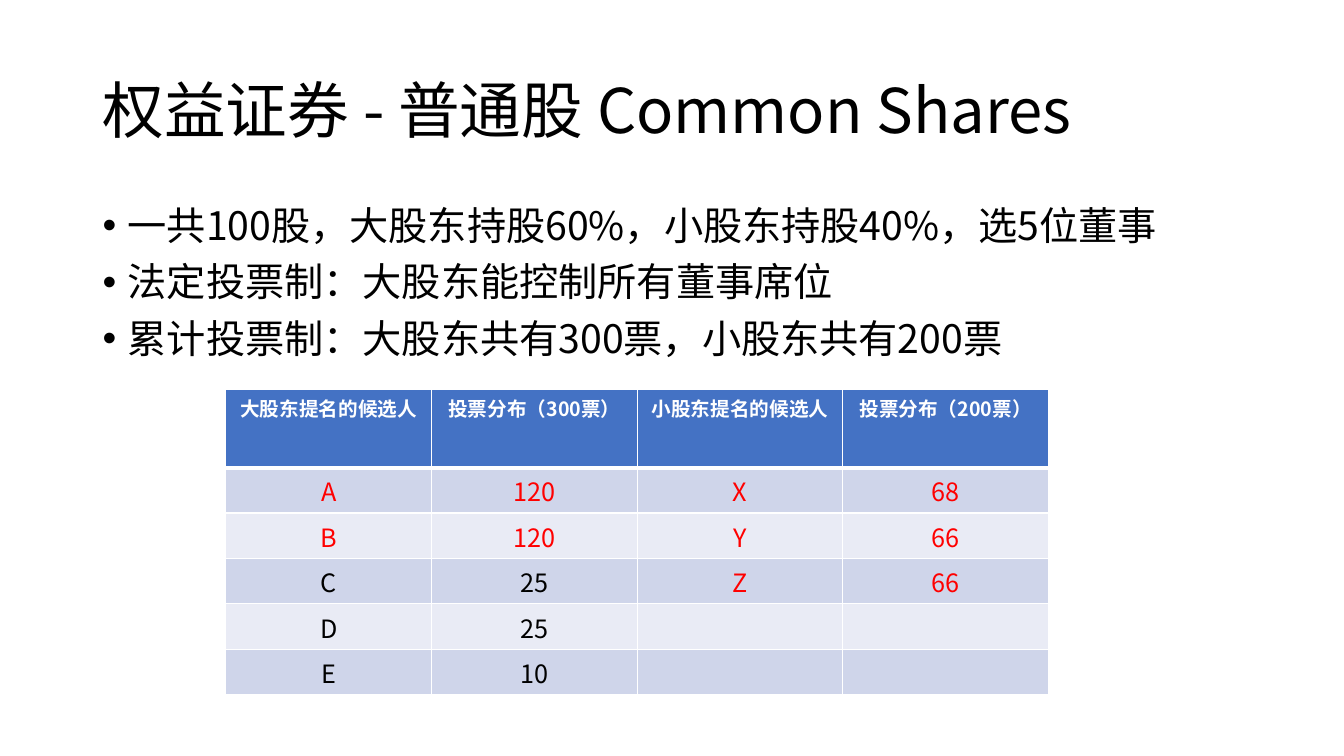
import pptx
import pptx.util
import pptx.dml.color
import pptx.enum.text
import pptx.oxml
import pptx.oxml.ns

TITLE = "权益证券 - 普通股 Common Shares"
POINTS = [
    "一共100股，大股东持股60%，小股东持股40%，选5位董事",
    "法定投票制：大股东能控制所有董事席位",
    "累计投票制：大股东共有300票，小股东共有200票",
]
HEADINGS = ["大股东提名的候选人", "投票分布（300票）", "小股东提名的候选人", "投票分布（200票）"]
VOTES = [
    ("A", "120", "X", "68"),
    ("B", "120", "Y", "66"),
    ("C", "25", "Z", "66"),
    ("D", "25", "", ""),
    ("E", "10", "", ""),
]
ELECTED = {"A", "B", "X", "Y", "Z"}

FONT = "Noto Sans CJK SC"
COLORS = {
    "text": "000000",
    "elected": "FF0000",
    "heading": "FFFFFF",
    "heading_fill": "4472C4",
    "odd_fill": "CFD5EA",
    "even_fill": "E9EBF5",
    "border": "FFFFFF",
}

# Lengths in px, 100 to the inch
PX = 9144
SLIDE = (1333, 750)
TITLE_BOX = (92, 40, 1150, 145)
POINTS_BOX = (92, 200, 1150, 476)
TABLE_LEFT, TABLE_TOP = 224, 386
COLUMN_WIDTH, HEADING_HEIGHT, VOTE_HEIGHT = 204, 78, 45
BULLET_INDENT = 25


def px(*lengths):
    return [pptx.util.Emu(length * PX) for length in lengths]


def rgb(color):
    return pptx.dml.color.RGBColor.from_string(COLORS[color])


def format_runs(paragraph, size, color, bold=False):
    for run in paragraph.runs:
        run.font.size = pptx.util.Pt(size)
        run.font.bold = bold
        run.font.color.rgb = rgb(color)
        run.font.name = FONT
        east_asian = pptx.oxml.parse_xml(
            f'<a:ea {pptx.oxml.ns.nsdecls("a")} typeface="{FONT}"/>')
        run.font._element.append(east_asian)


def add_text(slide, box, lines, size, anchor):
    frame = slide.shapes.add_textbox(*px(*box)).text_frame
    frame.word_wrap = True
    frame.vertical_anchor = anchor
    frame.text = "\n".join(lines)
    for paragraph in frame.paragraphs:
        paragraph.line_spacing = 0.9
        format_runs(paragraph, size, "text")
    return frame


def add_bullet(paragraph):
    paragraph.space_before = pptx.util.Pt(10)
    properties = paragraph._p.get_or_add_pPr()
    properties.set("marL", str(BULLET_INDENT * PX))
    properties.set("indent", str(-BULLET_INDENT * PX))
    for bullet in ('buFont {} typeface="Arial"', 'buChar {} char="•"'):
        tag = bullet.format(pptx.oxml.ns.nsdecls("a"))
        properties.append(pptx.oxml.parse_xml(f"<a:{tag}/>"))


def add_borders(cell, widths):
    """Draw borders given as a dict of side (L, R, T, B) to points."""
    for side, width in widths.items():
        cell._tc.get_or_add_tcPr().append(pptx.oxml.parse_xml(
            f'<a:ln{side} {pptx.oxml.ns.nsdecls("a")} w="{pptx.util.Pt(width)}">'
            f'<a:solidFill><a:srgbClr val="{COLORS["border"]}"/></a:solidFill>'
            f'</a:ln{side}>'))


def fill_cell(cell, text, size, color, fill, borders, bold=False):
    add_borders(cell, borders)
    cell.fill.solid()
    cell.fill.fore_color.rgb = rgb(fill)
    cell.text = text
    paragraph = cell.text_frame.paragraphs[0]
    paragraph.alignment = pptx.enum.text.PP_ALIGN.CENTER
    format_runs(paragraph, size, color, bold)


def add_vote_table(slide):
    columns, rows = len(HEADINGS), len(VOTES) + 1
    table = slide.shapes.add_table(rows, columns, *px(
        TABLE_LEFT, TABLE_TOP, columns * COLUMN_WIDTH,
        HEADING_HEIGHT + len(VOTES) * VOTE_HEIGHT)).table
    for column in table.columns:
        column.width, = px(COLUMN_WIDTH)
    for index, row in enumerate(table.rows):
        row.height, = px(VOTE_HEIGHT if index else HEADING_HEIGHT)

    for column, heading in enumerate(HEADINGS):
        fill_cell(table.cell(0, column), heading, 14, "heading", "heading_fill",
                  {"L": 1, "R": 1, "T": 1, "B": 3}, bold=True)
    for row, votes in enumerate(VOTES, start=1):
        fill = "odd_fill" if row % 2 else "even_fill"
        borders = {"L": 1, "R": 1, "T": 3 if row == 1 else 1, "B": 1}
        for column, text in enumerate(votes):
            candidate = votes[column - column % 2]
            color = "elected" if candidate in ELECTED else "text"
            fill_cell(table.cell(row, column), text, 18, color, fill, borders)


def main():
    presentation = pptx.Presentation()
    presentation.slide_width, presentation.slide_height = px(*SLIDE)
    slide = presentation.slides.add_slide(presentation.slide_layouts[6])

    anchors = pptx.enum.text.MSO_ANCHOR
    add_text(slide, TITLE_BOX, [TITLE], 44, anchors.MIDDLE)
    points = add_text(slide, POINTS_BOX, POINTS, 28, anchors.TOP)
    for paragraph in points.paragraphs:
        add_bullet(paragraph)
    add_vote_table(slide)
    presentation.save("out.pptx")


if __name__ == "__main__":
    main()
